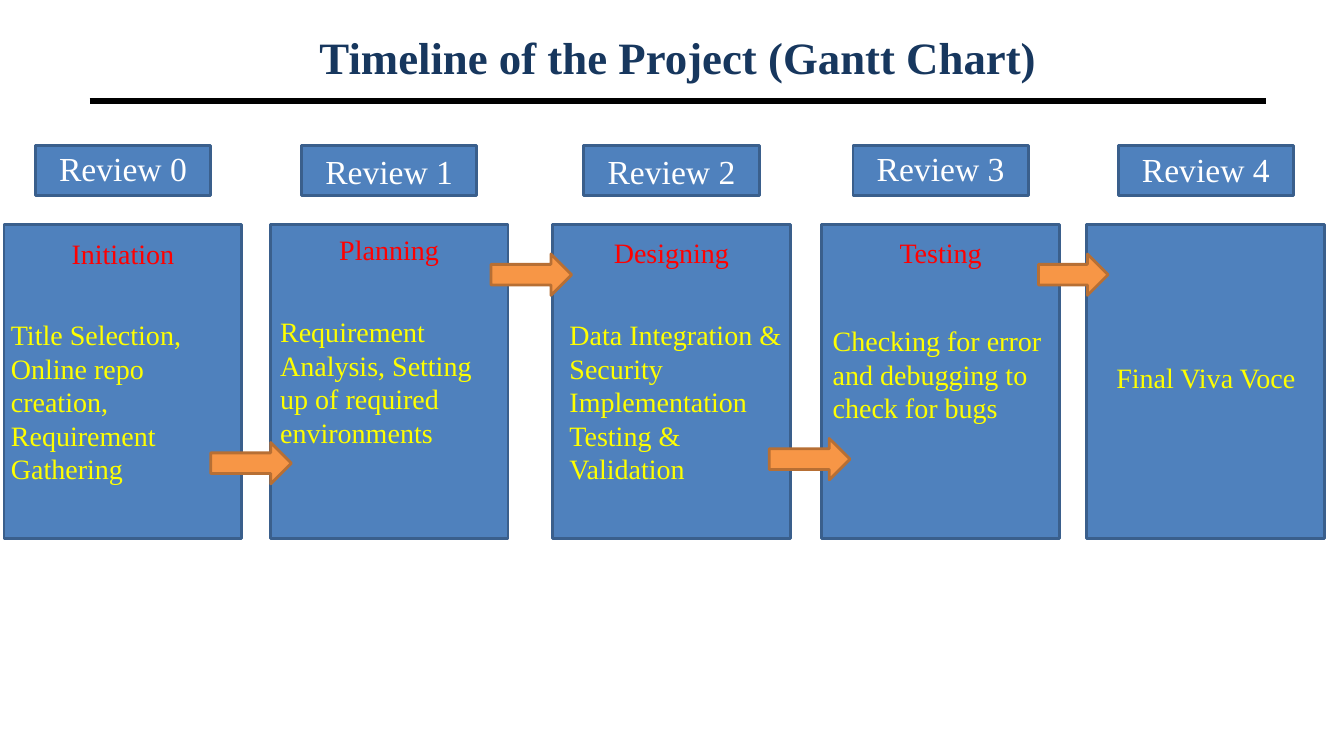
from collections import namedtuple

from lxml import etree
from pptx import Presentation
from pptx.dml.color import RGBColor
from pptx.enum.shapes import MSO_CONNECTOR as Connector, MSO_SHAPE as Preset
from pptx.enum.text import MSO_ANCHOR as Anchor, MSO_AUTO_SIZE as AutoSize, PP_ALIGN as Align
from pptx.oxml.ns import qn
from pptx.util import Emu, Pt

BLACK = RGBColor(0x00, 0x00, 0x00)
WHITE = RGBColor(0xFF, 0xFF, 0xFF)
NAVY = RGBColor(0x17, 0x37, 0x5E)
BLUE = RGBColor(0x4F, 0x81, 0xBD)
BLUE_EDGE = RGBColor(0x3A, 0x5F, 0x8C)
ORANGE = RGBColor(0xF7, 0x96, 0x46)
ORANGE_EDGE = RGBColor(0xB7, 0x6F, 0x34)
RED = RGBColor(0xFF, 0x00, 0x00)
YELLOW = RGBColor(0xFF, 0xFF, 0x00)

EMU_PER_PX = 9144
SLIDE_SIZE = (1333, 750)
PANEL_TOP, PANEL_WIDTH, PANEL_HEIGHT = 223, 236, 311
BADGE_TOP, BADGE_WIDTH, BADGE_HEIGHT, BADGE_INDENT = 144, 174, 50, 31
HEADING_HEIGHT = 44
ARROW_HEIGHT = 41

Stage = namedtuple("Stage", "left label_top heading heading_top details details_box align")
STAGES = [
    Stage(4, 142, "Initiation", 230,
          ["Title Selection, Online repo creation,", "Requirement Gathering"],
          (1, 310, 236, 178), Align.LEFT),
    Stage(268, 145, "Planning", 226,
          ["Requirement Analysis, Setting up of required environments"],
          (268, 307, 234, 145), Align.LEFT),
    Stage(548, 145, "Designing", 229,
          ["Data Integration & Security Implementation", "Testing & Validation"],
          (555, 310, 234, 178), Align.LEFT),
    Stage(815, 142, "Testing", 229,
          ["Checking for error and debugging to check for bugs"],
          (816, 316, 234, 111), Align.LEFT),
    Stage(1078, 143, None, None, ["Final Viva Voce"], (1079, 353, 234, 44), Align.CENTER),
]
ARROWS = [(209, 439, 80), (487, 252, 80), (763, 435, 80), (1030, 252, 69)]


def px(*lengths):
    return [Emu(length * EMU_PER_PX) for length in lengths]


class SlideBuilder:
    font_name = "Times New Roman"
    edge_width = Pt(2)

    def __init__(self, presentation):
        self.slide = presentation.slides.add_slide(presentation.slide_layouts[5])

    def fill_text(self, text_frame, lines, size, color, align, bold=False):
        text_frame.word_wrap = True
        text_frame.text = "\n".join(lines)
        for paragraph in text_frame.paragraphs:
            paragraph.alignment = align
            for run in paragraph.runs:
                run.font.name = self.font_name
                run.font.size = Pt(size)
                run.font.bold = bold
                run.font.color.rgb = color

    def title(self, text, box):
        shape = self.slide.shapes.title
        shape.left, shape.top, shape.width, shape.height = px(*box)
        shape.text_frame.auto_size = AutoSize.NONE
        shape.text_frame.vertical_anchor = Anchor.MIDDLE
        self.fill_text(shape.text_frame, [text], 32, NAVY, Align.CENTER, bold=True)

    def rule(self, start, end, color, width):
        line = self.slide.shapes.add_connector(Connector.STRAIGHT, *px(*start, *end))
        line.line.color.rgb = color
        line.line.width = Pt(width)
        etree.SubElement(line._element.spPr, qn("a:effectLst"))

    def shape(self, preset, box, fill, edge):
        shape = self.slide.shapes.add_shape(preset, *px(*box))
        shape.shadow.inherit = False
        shape.fill.solid()
        shape.fill.fore_color.rgb = fill
        shape.line.color.rgb = edge
        shape.line.width = self.edge_width

    def text(self, lines, box, size, color, align=Align.CENTER):
        shape = self.slide.shapes.add_textbox(*px(*box))
        self.fill_text(shape.text_frame, lines, size, color, align)


def main():
    presentation = Presentation()
    presentation.slide_width, presentation.slide_height = px(*SLIDE_SIZE)
    builder = SlideBuilder(presentation)
    builder.title("Timeline of the Project (Gantt Chart)", (89, 30, 1167, 53))
    builder.rule((89, 100), (1256, 100), BLACK, 4.5)

    for number, stage in enumerate(STAGES):
        badge_left = stage.left + BADGE_INDENT
        builder.shape(Preset.RECTANGLE, (badge_left, BADGE_TOP, BADGE_WIDTH, BADGE_HEIGHT),
                      BLUE, BLUE_EDGE)
        builder.text([f"Review {number}"],
                     (badge_left, stage.label_top, BADGE_WIDTH, BADGE_HEIGHT), 24, WHITE)
        builder.shape(Preset.RECTANGLE, (stage.left, PANEL_TOP, PANEL_WIDTH, PANEL_HEIGHT),
                      BLUE, BLUE_EDGE)

    for left, top, width in ARROWS:
        builder.shape(Preset.RIGHT_ARROW, (left, top, width, ARROW_HEIGHT), ORANGE, ORANGE_EDGE)

    for stage in STAGES:
        if stage.heading:
            builder.text([stage.heading],
                         (stage.left, stage.heading_top, PANEL_WIDTH, HEADING_HEIGHT), 20, RED)
        builder.text(stage.details, stage.details_box, 20, YELLOW, stage.align)

    presentation.save("out.pptx")


if __name__ == "__main__":
    main()
